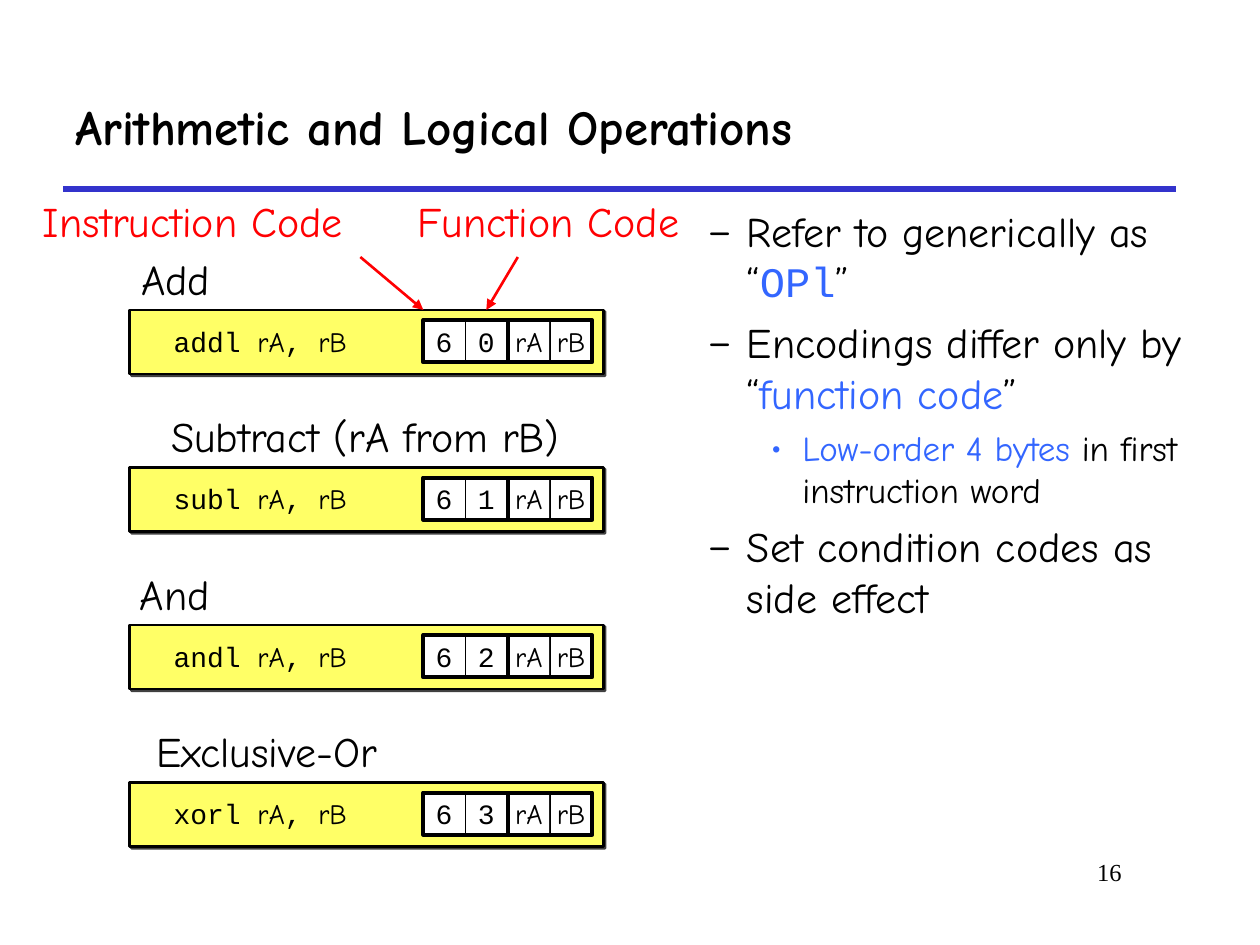
from lxml.etree import SubElement
from pptx import Presentation
from pptx.dml.color import RGBColor
from pptx.enum.shapes import MSO_CONNECTOR, MSO_SHAPE
from pptx.enum.text import MSO_ANCHOR, PP_ALIGN
from pptx.oxml.ns import qn
from pptx.util import Inches, Pt

BLACK = RGBColor(0, 0, 0)
WHITE = RGBColor(0xFF, 0xFF, 0xFF)
YELLOW = RGBColor(0xFF, 0xFF, 0x66)
RED = RGBColor(0xFF, 0x00, 0x02)
BLUE = RGBColor(0x33, 0x66, 0xFF)
NAVY = RGBColor(0x33, 0x33, 0xCC)
HAND, CODE, SERIF = "Comic Neue", "Courier New", "Times New Roman"


class Deck:
    """Draws styled elements on the current slide."""

    def __init__(self):
        self.prs = Presentation()
        self.prs.slide_width, self.prs.slide_height = Inches(10), Inches(7.5)
        self.slide = self.prs.slides.add_slide(self.prs.slide_layouts[6])

    def fill(self, para, runs, size, bold=False):
        for text, face, color in runs:
            run = para.add_run()
            run.text = text
            font = run.font
            font.name, font.size, font.bold = face, Pt(size), bold
            font.color.rgb = color

    def frame(self, shape, side=0.1, wrap=False, anchor=MSO_ANCHOR.TOP):
        frame = shape.text_frame
        frame.word_wrap, frame.vertical_anchor = wrap, anchor
        frame.margin_left = frame.margin_right = Inches(side)
        frame.margin_top = frame.margin_bottom = Inches(0.05)
        return frame

    def text(self, box, runs, size, align=PP_ALIGN.LEFT, bold=False, **style):
        shape = self.slide.shapes.add_textbox(*map(Inches, box))
        para = self.frame(shape, **style).paragraphs[0]
        para.alignment = align
        self.fill(para, runs, size, bold)

    def label(self, box, words, color=BLACK, align=PP_ALIGN.LEFT):
        self.text(box, [(words, HAND, color)], 24, align, side=0.05)

    def rect(self, box, width, fill=None):
        shape = self.slide.shapes.add_shape(MSO_SHAPE.RECTANGLE, *map(Inches, box))
        shape.shadow.inherit = False
        if fill is None:
            shape.fill.background()
        else:
            shape.fill.solid()
            shape.fill.fore_color.rgb = fill
        shape.line.color.rgb, shape.line.width = BLACK, Pt(width)
        return shape

    def bar(self, box):
        shape = self.rect(box, 1.5, YELLOW)
        effects = shape._element.spPr.find(qn("a:effectLst"))
        shade = SubElement(effects, qn("a:outerShdw"), dist=str(Pt(1.4)), dir="2700000", algn="ctr", rotWithShape="0")
        color = SubElement(shade, qn("a:srgbClr"), val="000000")
        SubElement(color, qn("a:alpha"), val="75000")

    def cell(self, box, words, face, align):
        shape = self.rect(box, 0.5, WHITE)
        para = self.frame(shape, anchor=MSO_ANCHOR.MIDDLE).paragraphs[0]
        para.alignment = align
        self.fill(para, [(words, face, BLACK)], 16)

    def line(self, start, end, color, width, arrow=False):
        link = self.slide.shapes.add_connector(MSO_CONNECTOR.STRAIGHT, *map(Inches, start + end))
        link.line.color.rgb, link.line.width = color, Pt(width)
        if arrow:
            SubElement(link.line._get_or_add_ln(), qn("a:tailEnd"), type="triangle")
        SubElement(link._element.spPr, qn("a:effectLst"))

    def bullets(self, box, items):
        frame = self.frame(self.slide.shapes.add_textbox(*map(Inches, box)), wrap=True)
        for i, (level, runs) in enumerate(items):
            para = frame.add_paragraph() if i else frame.paragraphs[0]
            mark, color, left, hang, size, gap = (
                ("–", BLACK, 0.81, 0.31, 24, 6) if level == 1 else ("•", BLUE, 1.25, 0.25, 20, 5)
            )
            para.level = level
            para.space_before = Pt(gap if i else 0)
            props = para._p.get_or_add_pPr()
            props.set("marL", str(Inches(left)))
            props.set("indent", str(-Inches(hang)))
            SubElement(SubElement(props, qn("a:buClr")), qn("a:srgbClr"), val=str(color))
            SubElement(props, qn("a:buFont"), typeface=HAND)
            SubElement(props, qn("a:buChar"), char=mark)
            self.fill(para, runs, size)

    def row(self, top, name, digit):
        self.bar((1.03, top, 3.76, 0.51))
        side, left, high = 0.335, 3.36, top + 0.08
        runs = [(name + " ", CODE, BLACK), ("rA", HAND, BLACK), (", ", CODE, BLACK), ("rB", HAND, BLACK)]
        self.text((1.28, high, 2.09, side), runs, 16, anchor=MSO_ANCHOR.MIDDLE)
        pairs = [(("6", digit), CODE, PP_ALIGN.LEFT), (("rA", "rB"), HAND, PP_ALIGN.CENTER)]
        for words, face, align in pairs:
            for i, word in enumerate(words):
                self.cell((left + i * side, high, side, side), word, face, align)
            self.rect((left, high, 2 * side, side), 2.25)
            left += 2 * side


def main():
    deck = Deck()
    deck.line((0.5, 1.5), (9.33, 1.5), NAVY, 3)
    deck.text((0.5, 0.5, 8.83, 1), [("Arithmetic and Logical Operations", HAND, BLACK)], 28,
              bold=True, wrap=True, anchor=MSO_ANCHOR.MIDDLE)
    deck.bullets((5.02, 1.58, 4.65, 5.71), [
        (1, [("Refer to generically as “", HAND, BLACK), ("OPl", CODE, BLUE), ("”", HAND, BLACK)]),
        (1, [("Encodings differ only by “", HAND, BLACK), ("function code", HAND, BLUE), ("”", HAND, BLACK)]),
        (2, [("Low-order 4 bytes ", HAND, BLUE), ("in first instruction word", HAND, BLACK)]),
        (1, [("Set condition codes as side effect", HAND, BLACK)]),
    ])
    ops = [
        ("addl", "Add", 1.07, 0.65),
        ("subl", "Subtract (rA from rB)", 1.31, 3.2),
        ("andl", "And", 1.06, 0.66),
        ("xorl", "Exclusive-Or", 1.19, 1.86),
    ]
    for i, (name, title, left, width) in enumerate(ops):
        top = 2.46 + 1.25 * i
        deck.row(top, name, str(i))
        deck.label((left, top - 0.5, width, 0.5), title)
    codes = [
        ("Instruction Code", 0.29, 2.48, 2.86, 3.36),
        ("Function Code", 3.26, 2.18, 4.11, 3.86),
    ]
    for title, left, width, start, end in codes:
        deck.line((start, 2.04), (end, 2.46), RED, 1.5, arrow=True)
        deck.label((left, 1.5, width, 0.5), title, RED, PP_ALIGN.RIGHT)
    deck.text((7.58, 6.75, 1.42, 0.5), [("16", SERIF, BLACK)], 14, PP_ALIGN.RIGHT, wrap=True)
    deck.prs.save("out.pptx")


if __name__ == "__main__":
    main()
